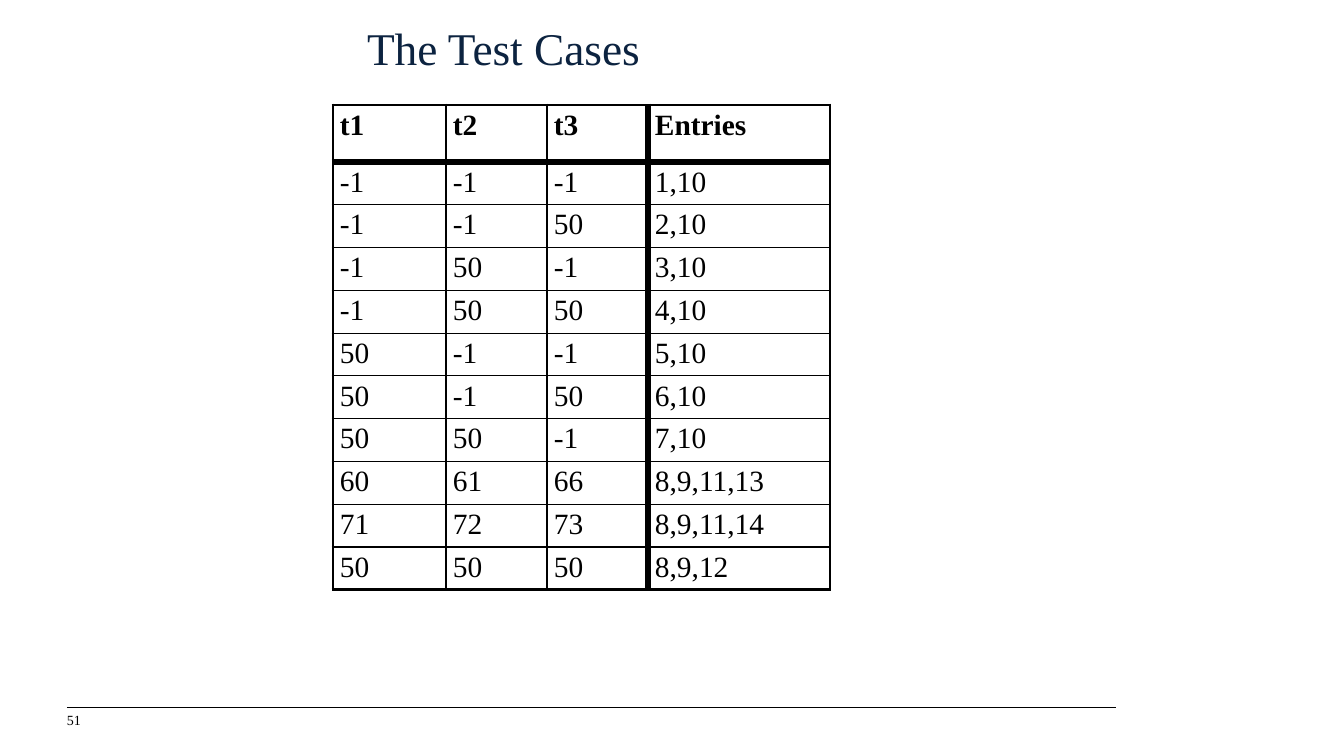
from lxml import etree
from pptx import Presentation, util as u
from pptx.dml.color import RGBColor
from pptx.enum import shapes, text
from pptx.oxml import ns

SCALE = 914400 / 100.8
FONT = "Times New Roman"
BLACK = "000000"
HEADERS = ["t1", "t2", "t3", "Entries"]
CASES = [
    ["-1", "-1", "-1", "1,10"],
    ["-1", "-1", "50", "2,10"],
    ["-1", "50", "-1", "3,10"],
    ["-1", "50", "50", "4,10"],
    ["50", "-1", "-1", "5,10"],
    ["50", "-1", "50", "6,10"],
    ["50", "50", "-1", "7,10"],
    ["60", "61", "66", "8,9,11,13"],
    ["71", "72", "73", "8,9,11,14"],
    ["50", "50", "50", "8,9,12"],
]
COL_WIDTHS = [113, 101, 101, 182]
HEADER_HEIGHT, BODY_HEIGHT = 57, 428
THIN, OUTER, THICK = 1, 2.25, 4.5


def px(n):
    """Turn pixels into EMU."""
    return u.Emu(round(n * SCALE))


def color(value):
    """Turn a hex string into a colour."""
    return RGBColor.from_string(value)


def style(p, size, hex_color, bold=False):
    """Set the font of a paragraph."""
    p.alignment = text.PP_ALIGN.LEFT
    p.font.name = FONT
    p.font.size = u.Pt(size)
    p.font.bold = bold
    p.font.color.rgb = color(hex_color)


def fill_frame(tf, content, size, hex_color):
    """Put one line of text, centred vertically, in a text frame."""
    tf.word_wrap = True
    tf.auto_size = text.MSO_AUTO_SIZE.NONE
    tf.vertical_anchor = text.MSO_ANCHOR.MIDDLE
    tf.margin_left = tf.margin_top = 0
    tf.margin_right, tf.margin_bottom = px(10), px(5)
    tf.text = content
    style(tf.paragraphs[0], size, hex_color)


def add_title(s, content):
    """Fill and place the title placeholder."""
    sp = s.shapes.title
    sp.left, sp.top, sp.width, sp.height = px(367), px(17), px(482), px(66)
    fill_frame(sp.text_frame, content, 32.4, "0C2340")


def add_footer(s, number):
    """Draw the footer rule and the slide number."""
    line = s.shapes.add_connector(
        shapes.MSO_CONNECTOR.STRAIGHT, px(67), px(708), px(1116), px(708))
    line.line.color.rgb = color(BLACK)
    line.line.width = u.Pt(0.75)
    etree.SubElement(line._element.spPr, ns.qn("a:effectLst"))
    sp = s.shapes.add_textbox(px(67), px(712), px(53), px(21))
    fill_frame(sp.text_frame, number, 10, BLACK)


def set_borders(cell, left, right, top, bottom):
    """Draw the four cell borders with widths in points."""
    tc_pr = cell._tc.get_or_add_tcPr()
    for i, (side, width) in enumerate(zip("LRTB", (left, right, top, bottom))):
        ln = etree.Element(ns.qn(f"a:ln{side}"), w=str(u.Pt(width)))
        fill = etree.SubElement(ln, ns.qn("a:solidFill"))
        etree.SubElement(fill, ns.qn("a:srgbClr"), val=BLACK)
        tc_pr.insert(i, ln)


def fill_cell(cell, content, bold):
    """Write a cell's text on a clear background."""
    cell.fill.background()
    cell.margin_left = cell.margin_right = px(7)
    cell.margin_top = cell.margin_bottom = px(4)
    cell.text = content
    style(cell.text_frame.paragraphs[0], 21, BLACK, bold)


def add_case_table(s):
    """Add the ruled table of test cases."""
    rows = [HEADERS] + CASES
    table = s.shapes.add_table(
        len(rows), len(HEADERS), px(333), px(105),
        px(sum(COL_WIDTHS)), px(HEADER_HEIGHT + BODY_HEIGHT)).table
    table.first_row = table.horz_banding = False
    for col, width in zip(table.columns, COL_WIDTHS):
        col.width = px(width)
    for i, row in enumerate(table.rows):
        row.height = px(BODY_HEIGHT / len(CASES) if i else HEADER_HEIGHT)
    x_rules = [OUTER, THIN, THIN, THICK, THIN]
    y_rules = [OUTER, THICK] + [THIN] * (len(CASES) - 1) + [OUTER]
    for i, values in enumerate(rows):
        for j, value in enumerate(values):
            cell = table.cell(i, j)
            fill_cell(cell, value, i == 0)
            set_borders(cell, *x_rules[j:j + 2], *y_rules[i:i + 2])


def main():
    """Build and save the slide."""
    prs = Presentation()
    prs.slide_width, prs.slide_height = px(1344), px(756)
    s = prs.slides.add_slide(prs.slide_layouts[5])
    add_footer(s, "51")
    add_title(s, "The Test Cases")
    add_case_table(s)
    prs.save("out.pptx")


if __name__ == "__main__":
    main()
